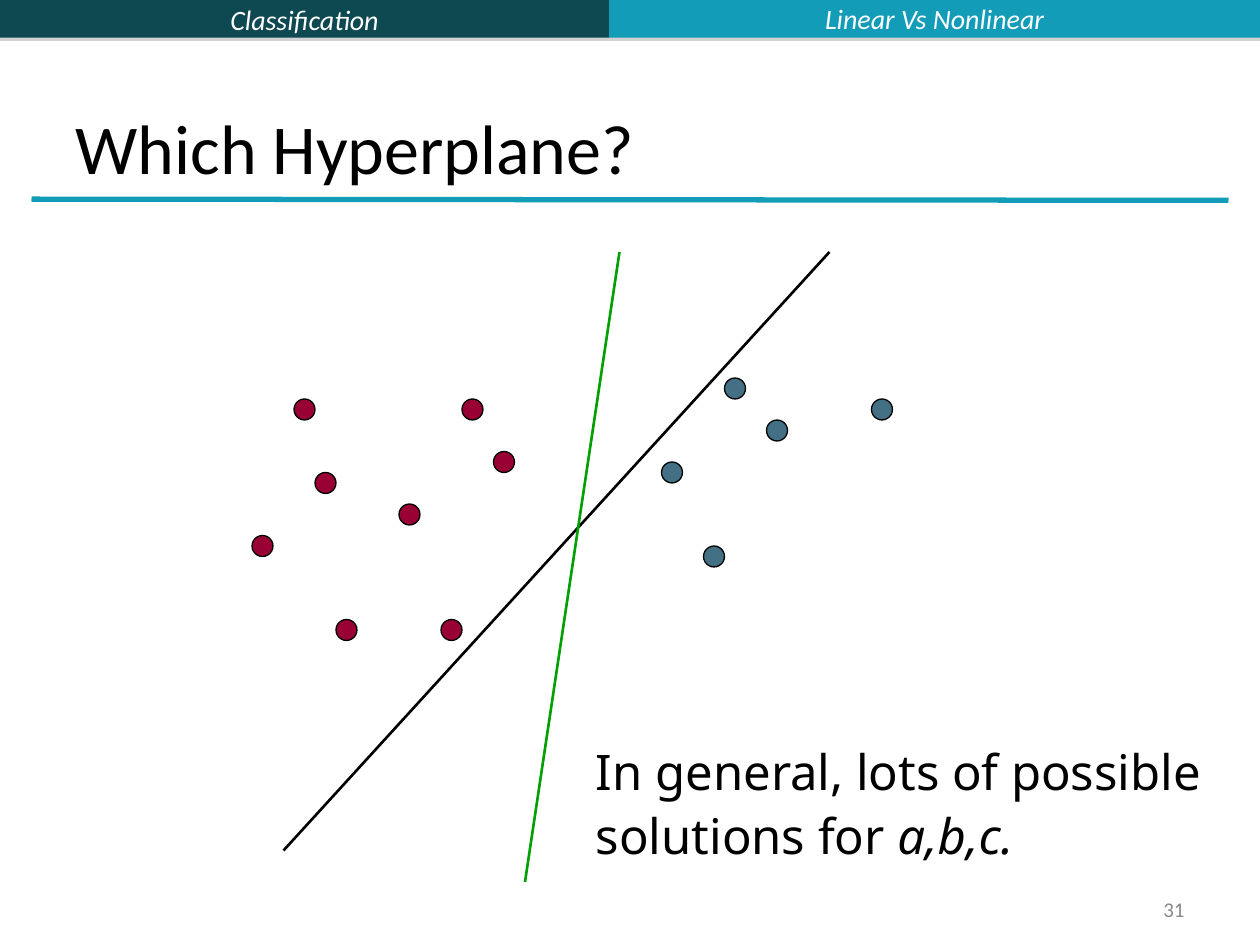
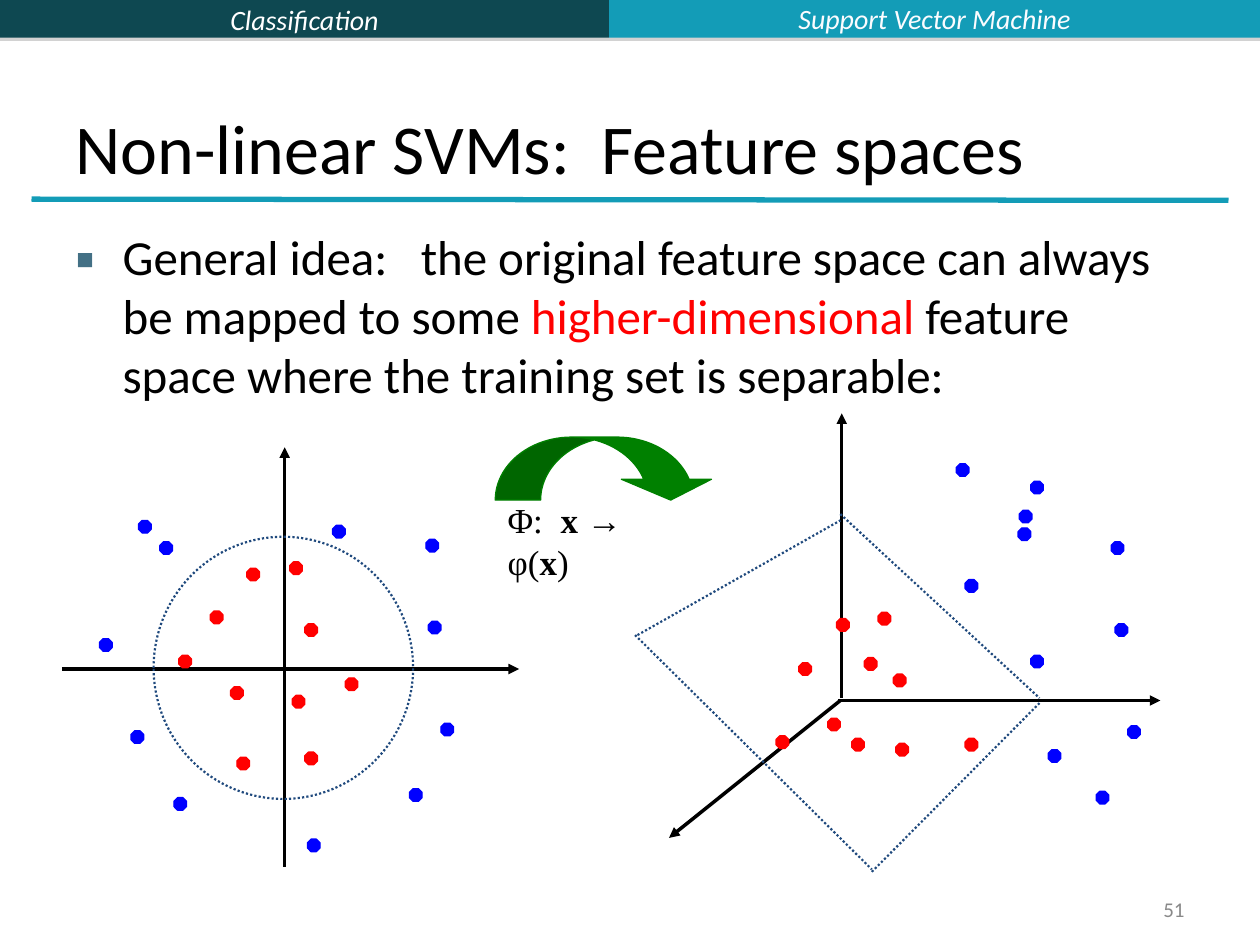
"""Build two classification slides: choosing a hyperplane, and mapping to a feature space."""
from lxml.etree import SubElement
from pptx import Presentation
from pptx.dml.color import RGBColor
from pptx.enum.dml import MSO_LINE
from pptx.enum.shapes import MSO_CONNECTOR, MSO_SHAPE
from pptx.enum.text import MSO_ANCHOR as Anchor, MSO_AUTO_SIZE, PP_ALIGN as Align
from pptx.oxml.ns import qn
from pptx.util import Pt

BLACK = RGBColor(0, 0, 0)
WHITE = RGBColor(255, 255, 255)
HEADER_WHITE = RGBColor(0xFB, 0xFC, 0xFF)
GREY = RGBColor(0x89, 0x89, 0x89)
DARK_TEAL = RGBColor(0x0E, 0x48, 0x51)
TEAL = RGBColor(0x13, 0x9C, 0xB7)
CRIMSON = RGBColor(0x99, 0, 0x33)
STEEL = RGBColor(0x43, 0x70, 0x85)
GREEN = RGBColor(0, 0xA0, 0)
ARROW_GREEN = RGBColor(0, 0x80, 0)
RED = RGBColor(255, 0, 0)
BLUE = RGBColor(0, 0, 255)
NAVY = RGBColor(0x1F, 0x49, 0x7D)


def draw_shape(slide, kind, box, fill=None, line=None, width=0.75):
    shape = slide.shapes.add_shape(kind, *[Pt(value) for value in box])
    shape.shadow.inherit = False
    if fill is None:
        shape.fill.background()
    else:
        shape.fill.solid()
        shape.fill.fore_color.rgb = fill
    if line is None:
        shape.line.fill.background()
    else:
        shape.line.color.rgb = line
        shape.line.width = Pt(width)
    return shape


def write_text(shape, lines, size, color=BLACK, font="Calibri", align=Align.LEFT,
               anchor=Anchor.TOP, italic=False, wrap=True):
    """Fill a shape with lines, each a list of run texts, and return the runs."""
    frame = shape.text_frame
    frame.word_wrap = wrap
    frame.auto_size = MSO_AUTO_SIZE.NONE
    frame.vertical_anchor = anchor
    runs = []
    for index, texts in enumerate(lines):
        paragraph = frame.add_paragraph() if index else frame.paragraphs[0]
        paragraph.alignment = align
        if index:
            paragraph.space_before = Pt(3)
        for text in texts:
            run = paragraph.add_run()
            run.text = text
            run.font.size = Pt(size)
            run.font.name = font
            run.font.color.rgb = color
            run.font.italic = italic
            runs.append(run)
    return runs


presentation = Presentation()
presentation.slide_width = Pt(720)
presentation.slide_height = Pt(540)
title_only = presentation.slide_layouts[5]

pages = [("Which Hyperplane?", "Linear Vs Nonlinear", "31"),
         ("Non-linear SVMs:  Feature spaces", "Support Vector Machine", "51")]
slides = []
for title_text, topic, number in pages:
    slide = presentation.slides.add_slide(title_only)
    slides.append(slide)
    title = slide.shapes.title
    title.left, title.top, title.width, title.height = Pt(36), Pt(21.6), Pt(648), Pt(90)
    write_text(title, [[title_text]], 40, anchor=Anchor.BOTTOM)

    section_band, topic_band = [
        draw_shape(slide, MSO_SHAPE.RECTANGLE, (left, 0, width, 21.6), fill)
        for left, width, fill in ((0, 348, DARK_TEAL), (348, 372, TEAL))]
    for band in (section_band, topic_band):
        effects = band._element.spPr.find(qn("a:effectLst"))
        shadow = SubElement(effects, qn("a:outerShdw"), dist=str(Pt(1.8)), dir="5400000",
                            rotWithShape="0")
        shadow_color = SubElement(shadow, qn("a:srgbClr"), val="808080")
        SubElement(shadow_color, qn("a:alpha"), val="35000")
    write_text(section_band, [["Classification"]], 16, WHITE, align=Align.CENTER,
               anchor=Anchor.MIDDLE, italic=True)
    topic_box = slide.shapes.add_textbox(Pt(348), Pt(-2.9), Pt(372), Pt(26.6))
    write_text(topic_box, [[topic]], 16, HEADER_WHITE, align=Align.CENTER,
               anchor=Anchor.MIDDLE, italic=True)
    number_box = slide.shapes.add_textbox(Pt(516), Pt(510), Pt(168), Pt(19.4))
    write_text(number_box, [[number]], 12, GREY, align=Align.RIGHT, anchor=Anchor.MIDDLE)

hyperplane_slide, feature_slide = slides

body = feature_slide.shapes.add_textbox(Pt(36), Pt(126), Pt(648), Pt(390))
body_runs = write_text(body, [[
    "General idea:   the original feature space can always be mapped to some ",
    "higher-dimensional",
    " feature space where the training set is separable:"]], 28)
body_runs[1].font.color.rgb = RED
properties = body.text_frame.paragraphs[0]._p.get_or_add_pPr()
properties.set("marL", str(Pt(27)))
properties.set("indent", str(Pt(-27)))
bullet_color = SubElement(properties, qn("a:buClr"))
SubElement(bullet_color, qn("a:srgbClr"), val=str(STEEL))
SubElement(properties, qn("a:buFont"), typeface="Noto Sans")
SubElement(properties, qn("a:buChar"), char="▪")

title_rule = [((18, 113.8), (702, 114.5))]
axes = [((162.7, 495.4), (162.7, 255.6)), ((35.3, 382.3), (296.6, 382.3)),
        ((481, 398.9), (481, 236.2)), ((478.8, 400.3), (663.1, 400.3)),
        ((480.2, 400.3), (382.3, 478.8))]
plane_edges = [((480.2, 293.8), (594, 398.9)), ((498.2, 498.2), (594, 401.8)),
               ((364.3, 362.9), (480.2, 297.4)), ((362.9, 362.9), (498.2, 496.8))]
line_groups = [
    (hyperplane_slide, title_rule, TEAL, 3, None, False),
    (hyperplane_slide, [((162, 486), (354, 144))][:0] + [((162, 486), (474, 144))],
     BLACK, 1.5, None, False),
    (hyperplane_slide, [((300, 504), (354, 144))], GREEN, 1.5, None, False),
    (feature_slide, title_rule, TEAL, 3, None, False),
    (feature_slide, axes, BLACK, 2, None, True),
    (feature_slide, plane_edges, NAVY, 1.25, MSO_LINE.ROUND_DOT, False),
]
for slide, segments, color, width, dash, has_arrow in line_groups:
    for start, end in segments:
        connector = slide.shapes.add_connector(
            MSO_CONNECTOR.STRAIGHT, *[Pt(value) for value in start + end])
        connector.line.color.rgb = color
        connector.line.width = Pt(width)
        if dash:
            connector.line.dash_style = dash
        if has_arrow:
            SubElement(connector.line._get_or_add_ln(), qn("a:tailEnd"), type="triangle")
        SubElement(connector._element.spPr, qn("a:effectLst"))

crimson_class = [(168, 228), (180, 270), (192, 354), (264, 228), (144, 306), (228, 288),
                 (282, 258), (252, 354)]
steel_class = [(378, 264), (402, 312), (414, 216), (498, 228), (438, 240)]
inner_points = [
    (165.6, 321.1), (120.2, 349.2), (131.8, 392.4), (174.2, 429.8), (141.1, 324.7),
    (102.2, 374.4), (135.4, 432.7), (174.2, 356.4), (197.3, 387.4), (167, 397.4)]
outer_points = [
    (244.8, 355), (234, 450.7), (56.9, 365), (175.7, 479.5), (252, 413.3), (99.4, 455.8),
    (74.9, 417.6), (79.2, 297.4), (190.1, 300.2), (91.4, 309.6), (243.4, 308.2)]
mapped_inner_points = [
    (501.8, 349.9), (456.5, 378.7), (486.7, 421.9), (551.5, 421.9), (478.1, 353.5),
    (493.9, 375.8), (511.9, 424.8), (510.5, 385.2), (473, 410.4), (443.5, 420.5)]
mapped_outer_points = [
    (637.2, 356.4), (626.4, 452.2), (589, 275), (589, 374.4), (644.4, 414.7), (551.5, 331.2),
    (599, 428.4), (582.5, 291.6), (581.8, 301.7), (546.5, 265), (635, 309.6)]
point_groups = [
    (hyperplane_slide, MSO_SHAPE.OVAL, 12, crimson_class, CRIMSON, BLACK),
    (hyperplane_slide, MSO_SHAPE.OVAL, 12, steel_class, STEEL, BLACK),
    (feature_slide, MSO_SHAPE.OCTAGON, 7.2, inner_points + mapped_inner_points, RED, RED),
    (feature_slide, MSO_SHAPE.OCTAGON, 7.2, outer_points + mapped_outer_points, BLUE, BLUE),
]
for slide, kind, size, points, fill, line in point_groups:
    for left, top in points:
        draw_shape(slide, kind, (left, top, size, size), fill, line)

solutions = hyperplane_slide.shapes.add_textbox(Pt(333.4), Pt(420), Pt(360.7), Pt(81.4))
solution_runs = write_text(
    solutions, [["In general, lots of possible"], ["solutions for ", "a,b,c."]], 28,
    font="Noto Sans", wrap=False)
solution_runs[-1].font.italic = True

boundary = draw_shape(feature_slide, MSO_SHAPE.OVAL, (87.8, 306.7, 148.3, 149.8),
                      line=NAVY, width=1.25)
boundary.line.dash_style = MSO_LINE.ROUND_DOT
mapping_arrow = draw_shape(feature_slide, MSO_SHAPE.CURVED_DOWN_ARROW, (283, 249.8, 126, 36),
                           ARROW_GREEN, ARROW_GREEN)
for index, ratio in enumerate((0.72, 1.43, 0.33)):
    mapping_arrow.adjustments[index] = ratio
mapping = feature_slide.shapes.add_textbox(Pt(283), Pt(281.5), Pt(118.8), Pt(34.6))
mapping_runs = write_text(mapping, [["Φ:  ", "x → ", "φ(", "x", ")"]], 20,
                          font="Times New Roman")
for run in (mapping_runs[1], mapping_runs[3]):
    run.font.bold = True

presentation.save("out.pptx")
